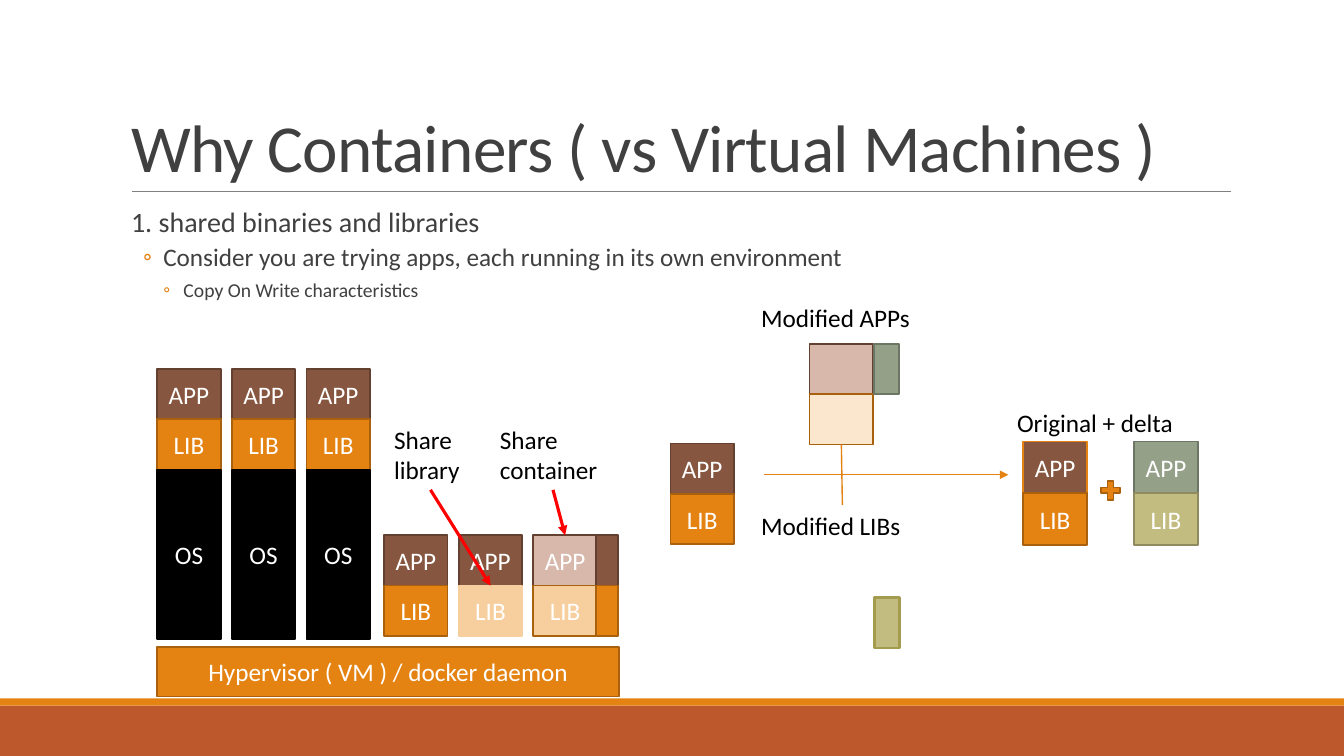
from lxml import etree
from pptx import Presentation
from pptx.dml.color import RGBColor
from pptx.enum.shapes import MSO_CONNECTOR, MSO_SHAPE
from pptx.enum.text import MSO_ANCHOR, MSO_AUTO_SIZE, PP_ALIGN
from pptx.oxml.ns import qn
from pptx.util import Inches, Pt

RECTANGLE, PLUS = MSO_SHAPE.RECTANGLE, MSO_SHAPE.MATH_PLUS
STRAIGHT = MSO_CONNECTOR.STRAIGHT
LEFT, CENTER = PP_ALIGN.LEFT, PP_ALIGN.CENTER
TOP_SIDE, BOTTOM_SIDE = 0, 2

FONT = "Calibri"
BLACK = RGBColor(0x00, 0x00, 0x00)
WHITE = RGBColor(0xFF, 0xFF, 0xFF)
DARK_GRAY = RGBColor(0x40, 0x40, 0x40)
GRAY = RGBColor(0x80, 0x80, 0x80)
RED = RGBColor(0xFF, 0x00, 0x00)
RUST = RGBColor(0xBD, 0x58, 0x2C)
ORANGE = RGBColor(0xE4, 0x83, 0x12)
DARK_ORANGE = RGBColor(0xA9, 0x61, 0x0D)
LIGHT_ORANGE = RGBColor(0xF7, 0xCE, 0x9D)
PALE_ORANGE = RGBColor(0xFB, 0xE6, 0xCE)
BROWN = RGBColor(0x86, 0x56, 0x40)
DARK_BROWN = RGBColor(0x63, 0x40, 0x2F)
LIGHT_BROWN = RGBColor(0xD7, 0xB8, 0xAB)
SAGE = RGBColor(0x94, 0xA0, 0x88)
DARK_SAGE = RGBColor(0x6D, 0x76, 0x65)
OLIVE = RGBColor(0xC2, 0xBC, 0x80)
DARK_OLIVE = RGBColor(0x90, 0x8B, 0x5F)
DELTA_OLIVE = RGBColor(0xA3, 0x9B, 0x4E)

# Content
TITLE = "Why Containers ( vs Virtual Machines )"
# text, size, left margin, first-line indent, space before, space after, bullet
BODY = [
    ("1. shared binaries and libraries", 20, 0.1, 0, 0, 2, None),
    ("Consider you are trying apps, each running in its own environment",
     18, 0.42, -0.2, 2, 4, "◦"),
    ("Copy On Write characteristics", 14, 0.62, -0.2, 2, 4, "◦"),
]

# Block: text, height, fill, line
APP = ("APP", 0.5, BROWN, DARK_BROWN)
LIB = ("LIB", 0.5, ORANGE, DARK_ORANGE)
OS = ("OS", 1.68, BLACK, BLACK)
SHARED_APP = ("APP", 0.5, LIGHT_BROWN, DARK_BROWN)
SHARED_LIB = ("LIB", 0.5, LIGHT_ORANGE, DARK_ORANGE)
BORDERLESS_LIB = ("LIB", 0.5, LIGHT_ORANGE, LIGHT_ORANGE)

BLOCK_WIDTH = 0.63
COLUMN_PITCH = 0.74
VM_LEFT, VM_TOP = 1.56, 3.66
CONTAINER_LEFT, CONTAINER_TOP = 3.81, 5.31
VIRTUAL_MACHINES = [[APP, LIB, OS]] * 3
CONTAINERS = [[APP, LIB], [APP, BORDERLESS_LIB], [SHARED_APP, SHARED_LIB]]

# Stacks: left, top, width, blocks
SLIVERS = (5.91, CONTAINER_TOP, 0.22, [("", *APP[1:]), ("", *LIB[1:])])
BASE_STACK = (6.65, 4.4, BLOCK_WIDTH, [APP, LIB])
MODIFIED_STACK = (8.03, 3.41, BLOCK_WIDTH, [
    ("", 0.5, LIGHT_BROWN, DARK_BROWN), ("", 0.5, PALE_ORANGE, DARK_ORANGE)])
APP_DELTA = (8.67, 3.41, 0.25, [("", 0.5, SAGE, DARK_SAGE)])
LIB_DELTA = (8.67, 5.93, 0.25, [("", 0.5, OLIVE, DELTA_OLIVE)])
RESULT_STACK = (10.15, 4.38, BLOCK_WIDTH, [
    ("APP", 0.51, BROWN, ORANGE), ("LIB", 0.52, ORANGE, DARK_ORANGE)])
DELTA_STACK = (11.25, 4.38, BLOCK_WIDTH, [
    ("APP", 0.51, SAGE, DARK_SAGE), ("LIB", 0.52, OLIVE, DARK_OLIVE)])

# Labels: text, left, top, width, height, alignment
LABELS = [
    ("Share library", 3.81, 4.16, 0.92, 0.7, LEFT),
    ("Share container", 4.86, 4.16, 1.25, 0.7, LEFT),
    ("Modified APPs", 7.45, 2.95, 1.81, 0.4, LEFT),
    ("Modified LIBs", 7.45, 5.01, 1.81, 0.4, LEFT),
    ("Original + delta", 9.81, 3.99, 2.1, 0.4, CENTER),
]

presentation = Presentation()
presentation.slide_width, presentation.slide_height = Inches(13.33), Inches(7.5)
slide = presentation.slides.add_slide(presentation.slide_layouts[5])


def box(left, top, width, height):
    return [Inches(value) for value in (left, top, width, height)]


def style_paragraph(paragraph, size, color, alignment=LEFT):
    paragraph.alignment = alignment
    for run in paragraph.runs:
        run.font.name, run.font.size = FONT, Pt(size)
        run.font.color.rgb = color


def add_block(text, bounds, fill, line=None, line_width=1.25, kind=RECTANGLE):
    shape = slide.shapes.add_shape(kind, *box(*bounds))
    shape.shadow.inherit = False
    shape.fill.solid()
    shape.fill.fore_color.rgb = fill
    if line is None:
        shape.line.fill.background()
    else:
        shape.line.color.rgb = line
        shape.line.width = Pt(line_width)
    if text:
        frame = shape.text_frame
        frame.text = text
        frame.word_wrap = False
        frame.vertical_anchor = MSO_ANCHOR.MIDDLE
        style_paragraph(frame.paragraphs[0], 18, WHITE, CENTER)
    return shape


def add_stack(left, top, width, blocks, line_width=1.25):
    shapes = []
    for text, height, fill, line in blocks:
        shapes.append(add_block(text, (left, top, width, height), fill, line, line_width))
        top += height
    return shapes


def add_line(color, width, start=(0, 0), end=(0, 0), joined=None, arrow=False):
    connector = slide.shapes.add_connector(
        STRAIGHT, *[Inches(value) for value in (*start, *end)])
    if joined:
        connector.begin_connect(joined[0], BOTTOM_SIDE)
        connector.end_connect(joined[1], TOP_SIDE)
    connector.line.color.rgb = color
    connector.line.width = Pt(width)
    if arrow:
        line = connector.line._get_or_add_ln()
        etree.SubElement(line, qn("a:tailEnd"), type="triangle")
    etree.SubElement(connector._element.spPr, qn("a:effectLst"))


def add_bullet(paragraph, margin, indent, bullet):
    properties = paragraph._p.get_or_add_pPr()
    properties.set("marL", str(Inches(margin)))
    properties.set("indent", str(Inches(indent)))
    if bullet:
        color = etree.SubElement(properties, qn("a:buClr"))
        etree.SubElement(color, qn("a:srgbClr"), val=str(ORANGE))
        etree.SubElement(properties, qn("a:buFont"), typeface=FONT)
        etree.SubElement(properties, qn("a:buChar"), char=bullet)


# Footer bands and title rule
add_block("", (0, 7, 13.33, 0.5), RUST)
add_block("", (0, 6.93, 13.33, 0.07), ORANGE)
add_line(GRAY, 0.5, (1.31, 1.9), (12.21, 1.9))

# Title
title = slide.shapes.title
title.left, title.top, title.width, title.height = box(1.2, 0.31, 11, 1.59)
title.text_frame.text = TITLE
title.text_frame.auto_size = MSO_AUTO_SIZE.NONE
title.text_frame.vertical_anchor = MSO_ANCHOR.BOTTOM
heading = title.text_frame.paragraphs[0]
heading.line_spacing = 0.85
style_paragraph(heading, 48, DARK_GRAY)
heading.runs[0].font._element.set("spc", "-50")

# Body
body = slide.shapes.add_textbox(*box(1.2, 2.02, 11, 1.1)).text_frame
body.word_wrap = True
body.margin_left = body.margin_right = 0
body.text = "\n".join(item[0] for item in BODY)
for paragraph, item in zip(body.paragraphs, BODY):
    text, size, margin, indent, before, after, bullet = item
    paragraph.line_spacing = 0.9
    paragraph.space_before, paragraph.space_after = Pt(before), Pt(after)
    add_bullet(paragraph, margin, indent, bullet)
    style_paragraph(paragraph, size, DARK_GRAY)

# Virtual machines and containers on their host
for column, blocks in enumerate(VIRTUAL_MACHINES):
    add_stack(VM_LEFT + column * COLUMN_PITCH, VM_TOP, BLOCK_WIDTH, blocks)
containers = [
    add_stack(CONTAINER_LEFT + column * COLUMN_PITCH, CONTAINER_TOP, BLOCK_WIDTH, blocks)
    for column, blocks in enumerate(CONTAINERS)]
add_stack(*SLIVERS)
add_block("Hypervisor ( VM ) / docker daemon", (1.56, 6.42, 4.58, 0.49), ORANGE, DARK_ORANGE)

# Copy-on-write stacks
modified = add_stack(*MODIFIED_STACK)
for stack in (BASE_STACK, APP_DELTA, RESULT_STACK, DELTA_STACK):
    add_stack(*stack)
add_stack(*LIB_DELTA, line_width=2)
add_block("", (10.89, 4.74, 0.25, 0.25), ORANGE, DARK_ORANGE, kind=PLUS)

# Labels
labels = {}
for text, *bounds, alignment in LABELS:
    label = slide.shapes.add_textbox(*box(*bounds))
    label.text_frame.word_wrap = True
    label.text_frame.text = text
    style_paragraph(label.text_frame.paragraphs[0], 18, BLACK, alignment)
    labels[text] = label

# Arrows and connecting lines
add_line(RED, 2.25, joined=(labels["Share library"], containers[1][1]), arrow=True)
add_line(RED, 2.25, joined=(labels["Share container"], containers[2][0]), arrow=True)
add_line(ORANGE, 1, joined=(modified[1], labels["Modified LIBs"]))
add_line(ORANGE, 1, (7.58, 4.71), (10, 4.71), arrow=True)

presentation.save("out.pptx")
